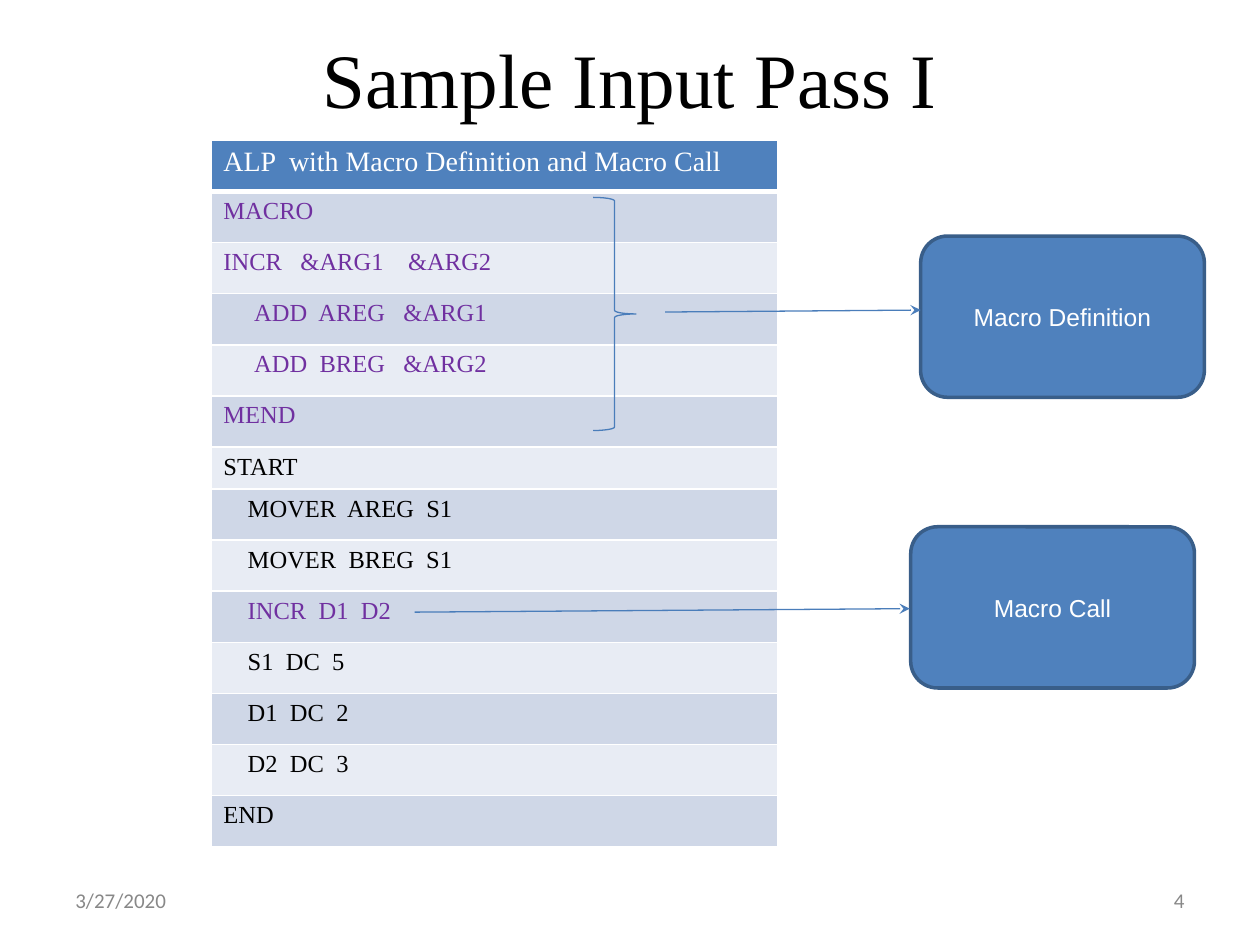
"""Build the slide on sample input for pass one of a macro processor."""
from typing import NamedTuple

from lxml import etree
from pptx import Presentation
from pptx.dml.color import RGBColor
from pptx.enum.shapes import MSO_CONNECTOR, MSO_SHAPE
from pptx.enum.text import MSO_ANCHOR, PP_ALIGN
from pptx.oxml.ns import qn
from pptx.util import Cm, Pt

LEFT, MID, RIGHT = PP_ALIGN.LEFT, PP_ALIGN.CENTER, PP_ALIGN.RIGHT
CENTRE = MSO_ANCHOR.MIDDLE
ROUND, BRACE = MSO_SHAPE.ROUNDED_RECTANGLE, MSO_SHAPE.RIGHT_BRACE
STRAIGHT = MSO_CONNECTOR.STRAIGHT
SERIF, SANS, SMALL = "Times New Roman", "Arial", "Calibri"
HEX = {
    "white": "FFFFFF", "black": "000000", "grey": "888888",
    "blue": "4F81BD", "edge": "395E89", "line": "4A7DBA",
    "macro": "7030A0", "dark": "CFD7E7", "light": "E8ECF4",
}


class Font(NamedTuple):
    """Face, size in points and colour of a text."""
    face: str
    size: int
    hue: str


class Label(NamedTuple):
    """A plain text box, measured in centimetres."""
    text: str
    area: tuple[float, float, float, float]
    font: Font
    align: PP_ALIGN


class Code(NamedTuple):
    """A line of the assembly listing with its indent and height in centimetres."""
    text: str
    hue: str = "black"
    indent: float = 0
    height: float = 1.03


class Box(NamedTuple):
    """A rounded box placed by its top left corner."""
    text: str
    left: float
    top: float


class Arrow(NamedTuple):
    """An arrow from one point to another."""
    start: tuple[float, float]
    end: tuple[float, float]


HEAD = Font(SERIF, 16, "white")
FOOT = Font(SMALL, 12, "grey")
LABELS = [
    Label("Sample Input Pass I", (1.27, 0.76, 22.86, 1.63), Font(SERIF, 44, "black"), MID),
    Label("3/27/2020", (1.27, 17.65, 5.93, 1.01), FOOT, LEFT),
    Label("4", (18.2, 17.65, 5.93, 1.01), FOOT, RIGHT),
]
TITLE = "ALP  with Macro Definition and Macro Call"
STEP, DEEP = 0.49, 0.62
CODES = [
    Code("MACRO", "macro"),
    Code("INCR   &ARG1    &ARG2", "macro"),
    Code("ADD  AREG   &ARG1", "macro", DEEP),
    Code("ADD  BREG   &ARG2", "macro", DEEP),
    Code("MEND", "macro"),
    Code("START", height=0.82),
    Code("MOVER  AREG  S1", indent=STEP),
    Code("MOVER  BREG  S1", indent=STEP),
    Code("INCR  D1  D2", "macro", STEP),
    Code("S1  DC  5", indent=STEP),
    Code("D1  DC  2", indent=STEP),
    Code("D2  DC  3", indent=STEP),
    Code("END"),
]
BOXES = [Box("Macro Definition", 18.56, 4.76), Box("Macro Call", 18.36, 10.62)]
ARROWS = [Arrow((13.41, 6.29), (18.56, 6.25)), Arrow((8.36, 12.34), (18.34, 12.27))]


def shade(fill, hue: str) -> None:
    """Fill with a solid colour."""
    fill.solid()
    fill.fore_color.rgb = RGBColor.from_string(HEX[hue])


def stroke(line, hue: str, width: float) -> None:
    """Set the colour and width of a line."""
    line.color.rgb = RGBColor.from_string(HEX[hue])
    line.width = Pt(width)


def write(frame, text: str, font: Font, align: PP_ALIGN = LEFT) -> None:
    """Put one formatted paragraph in a text frame."""
    frame.text = text
    frame.word_wrap = True
    part = frame.paragraphs[0]
    part.alignment = align
    for run in part.runs:
        run.font.name, run.font.size = font.face, Pt(font.size)
        run.font.bold = False
        run.font.color.rgb = RGBColor.from_string(HEX[font.hue])


def draw_label(slide, label: Label) -> None:
    """Draw a text box."""
    frame = slide.shapes.add_textbox(*map(Cm, label.area)).text_frame
    write(frame, label.text, label.font, label.align)
    frame.vertical_anchor = CENTRE


def border(cell, base: float) -> None:
    """Give a cell white borders, the bottom one of its own width."""
    props = cell._tc.get_or_add_tcPr()
    for spot, side in enumerate("LRTB"):
        width = base if side == "B" else 1
        edge = etree.Element(qn(f"a:ln{side}"), w=str(Pt(width)))
        solid = etree.SubElement(edge, qn("a:solidFill"))
        etree.SubElement(solid, qn("a:srgbClr"), val=HEX["white"])
        props.insert(spot, edge)


def draw_cell(cell, text: str, font: Font, fill: str, base: float = 1) -> None:
    """Write, fill and border a cell."""
    write(cell.text_frame, text, font)
    shade(cell.fill, fill)
    border(cell, base)


def draw_codes(slide, codes: list[Code]) -> None:
    """Draw the listing as a table in one column."""
    tall = 1.03 + sum(code.height for code in codes)
    table = slide.shapes.add_table(
        len(codes) + 1, 1, Cm(4.25), Cm(2.83), Cm(11.43), Cm(tall)).table
    table.rows[0].height = Cm(1.03)
    draw_cell(table.cell(0, 0), TITLE, HEAD, "blue", 3)
    for row, code in enumerate(codes, 1):
        table.rows[row].height = Cm(code.height)
        cell = table.cell(row, 0)
        draw_cell(cell, code.text, Font(SERIF, 14, code.hue), "dark" if row % 2 else "light")
        part = cell.text_frame.paragraphs[0]._p.get_or_add_pPr()
        part.set("marL", str(Cm(code.indent)))


def draw_brace(slide) -> None:
    """Draw the brace that spans the macro."""
    brace = slide.shapes.add_shape(BRACE, Cm(11.96), Cm(3.98), Cm(0.86), Cm(4.7))
    brace.shadow.inherit = False
    brace.fill.background()
    stroke(brace.line, "line", 0.75)


def draw_box(slide, box: Box) -> None:
    """Draw a rounded box with its text."""
    shape = slide.shapes.add_shape(ROUND, Cm(box.left), Cm(box.top), Cm(5.72), Cm(3.25))
    shape.shadow.inherit = False
    shade(shape.fill, "blue")
    stroke(shape.line, "edge", 2)
    write(shape.text_frame, box.text, Font(SANS, 14, "white"), MID)
    shape.text_frame.vertical_anchor = CENTRE


def draw_arrow(slide, arrow: Arrow) -> None:
    """Draw a line with a stealth head at its end."""
    link = slide.shapes.add_connector(STRAIGHT, *map(Cm, arrow.start + arrow.end))
    stroke(link.line, "line", 0.75)
    props = link._element.spPr
    etree.SubElement(props.find(qn("a:ln")), qn("a:tailEnd"), type="stealth")
    etree.SubElement(props, qn("a:effectLst"))


def main() -> None:
    """Build and save the slide."""
    deck = Presentation()
    deck.slide_width, deck.slide_height = Cm(25.4), Cm(19.05)
    slide = deck.slides.add_slide(deck.slide_layouts[6])
    for label in LABELS:
        draw_label(slide, label)
    draw_codes(slide, CODES)
    draw_brace(slide)
    for box in BOXES:
        draw_box(slide, box)
    for arrow in ARROWS:
        draw_arrow(slide, arrow)
    deck.save("out.pptx")


if __name__ == "__main__":
    main()
